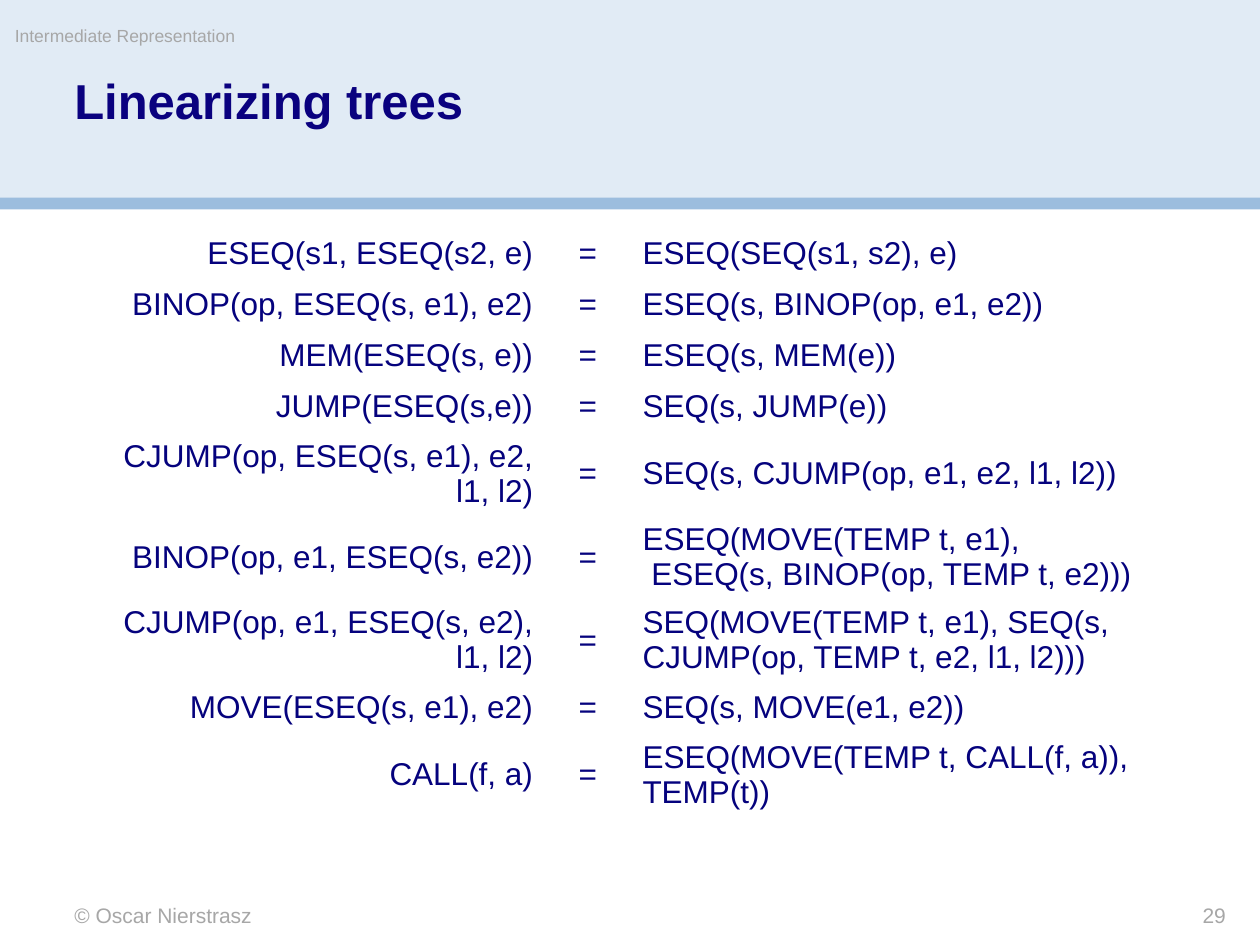
from pptx import Presentation
from pptx.dml.color import RGBColor
from pptx.enum.shapes import MSO_SHAPE
from pptx.enum.text import MSO_ANCHOR, MSO_AUTO_SIZE, PP_ALIGN
from pptx.util import Pt

LEFT, CENTER, RIGHT = PP_ALIGN.LEFT, PP_ALIGN.CENTER, PP_ALIGN.RIGHT
TOP, MIDDLE = MSO_ANCHOR.TOP, MSO_ANCHOR.MIDDLE
RECTANGLE = MSO_SHAPE.RECTANGLE

NAVY = RGBColor(0x0A, 0x01, 0x7F)
TABLE_NAVY = RGBColor(0x05, 0x02, 0x7D)
GRAY = RGBColor(0xA7, 0xA7, 0xA7)
PALE_BLUE = RGBColor(0xE1, 0xEB, 0xF5)
MID_BLUE = RGBColor(0x9C, 0xBD, 0xDE)
FONT = "Arial"

# Content
TITLE = "Linearizing trees"
RULES = [
    ("ESEQ(s1, ESEQ(s2, e)", "ESEQ(SEQ(s1, s2), e)"),
    ("BINOP(op, ESEQ(s, e1), e2)", "ESEQ(s, BINOP(op, e1, e2))"),
    ("MEM(ESEQ(s, e))", "ESEQ(s, MEM(e))"),
    ("JUMP(ESEQ(s,e))", "SEQ(s, JUMP(e))"),
    ("CJUMP(op, ESEQ(s, e1), e2, l1, l2)", "SEQ(s, CJUMP(op, e1, e2, l1, l2))"),
    ("BINOP(op, e1, ESEQ(s, e2))",
     "ESEQ(MOVE(TEMP t, e1),\n ESEQ(s, BINOP(op, TEMP t, e2)))"),
    ("CJUMP(op, e1, ESEQ(s, e2), l1, l2)",
     "SEQ(MOVE(TEMP t, e1), SEQ(s, CJUMP(op, TEMP t, e2, l1, l2)))"),
    ("MOVE(ESEQ(s, e1), e2)", "SEQ(s, MOVE(e1, e2))"),
    ("CALL(f, a)", "ESEQ(MOVE(TEMP t, CALL(f, a)), TEMP(t))"),
]

# Layout in points
MARGIN, CONTENT_WIDTH = 42.5, 636
TABLE_TOP, ROW_HEIGHT = 130.3, 29.2
COLUMNS = [(269.3, RIGHT), (48.2, CENTER), (318.5, LEFT)]
BANDS = [(0, 113.8, PALE_BLUE), (113, 6.7, MID_BLUE)]
SMALL_TEXTS = [  # text, left, top, width, height, size, alignment, wrap
    ("© Oscar Nierstrasz", MARGIN, 515.5, 300, 14.4, 12, LEFT, True),
    ("Intermediate Representation", 8.5, 14.4, 425, 20, 10, LEFT, False),
    ("29", 594, 516, 106.5, 14.4, 12, RIGHT, True),
]


def format_text(text_frame, size, color, alignment=LEFT, bold=False):
    for paragraph in text_frame.paragraphs:
        paragraph.alignment = alignment
        for run in paragraph.runs:
            run.font.name = FONT
            run.font.size = Pt(size)
            run.font.bold = bold
            run.font.color.rgb = color


def clear_margins(text_frame):
    text_frame.margin_left = text_frame.margin_right = 0
    text_frame.margin_top = text_frame.margin_bottom = 0
    text_frame.vertical_anchor = TOP


presentation = Presentation()
presentation.slide_width, presentation.slide_height = Pt(720), Pt(540)
slide = presentation.slides.add_slide(presentation.slide_layouts[5])

# Header bands
for top, height, color in BANDS:
    band = slide.shapes.add_shape(RECTANGLE, 0, Pt(top), Pt(720), Pt(height))
    band.shadow.inherit = False
    band.fill.solid()
    band.fill.fore_color.rgb = color
    band.line.fill.background()

# Title, brought in front of the bands
title = slide.shapes.title
slide.shapes._spTree.append(title._element)
title.left, title.top = Pt(MARGIN), Pt(44)
title.width, title.height = Pt(CONTENT_WIDTH), Pt(64)
title.text_frame.text = TITLE
title.text_frame.auto_size = MSO_AUTO_SIZE.NONE
clear_margins(title.text_frame)
title.text_frame.paragraphs[0].line_spacing = 0.9
format_text(title.text_frame, 28, NAVY, bold=True)

# Table of rewriting rules
table = slide.shapes.add_table(
    len(RULES), len(COLUMNS), Pt(MARGIN), Pt(TABLE_TOP),
    Pt(CONTENT_WIDTH), Pt(ROW_HEIGHT * len(RULES))).table
table.first_row = table.horz_banding = False
for column, (width, _) in zip(table.columns, COLUMNS):
    column.width = Pt(width)
for row, (tree, linearized) in zip(table.rows, RULES):
    row.height = Pt(ROW_HEIGHT)
    for cell, text, (_, alignment) in zip(row.cells, (tree, "=", linearized), COLUMNS):
        cell.fill.solid()
        cell.fill.fore_color.rgb = RGBColor(0xFF, 0xFF, 0xFF)
        cell.vertical_anchor = MIDDLE
        cell.text_frame.text = text
        format_text(cell.text_frame, 18, TABLE_NAVY, alignment)

# Running header, footer and slide number
for text, left, top, width, height, size, alignment, wrap in SMALL_TEXTS:
    box = slide.shapes.add_textbox(Pt(left), Pt(top), Pt(width), Pt(height))
    box.text_frame.word_wrap = wrap
    clear_margins(box.text_frame)
    box.text_frame.text = text
    format_text(box.text_frame, size, GRAY, alignment)

presentation.save("out.pptx")
